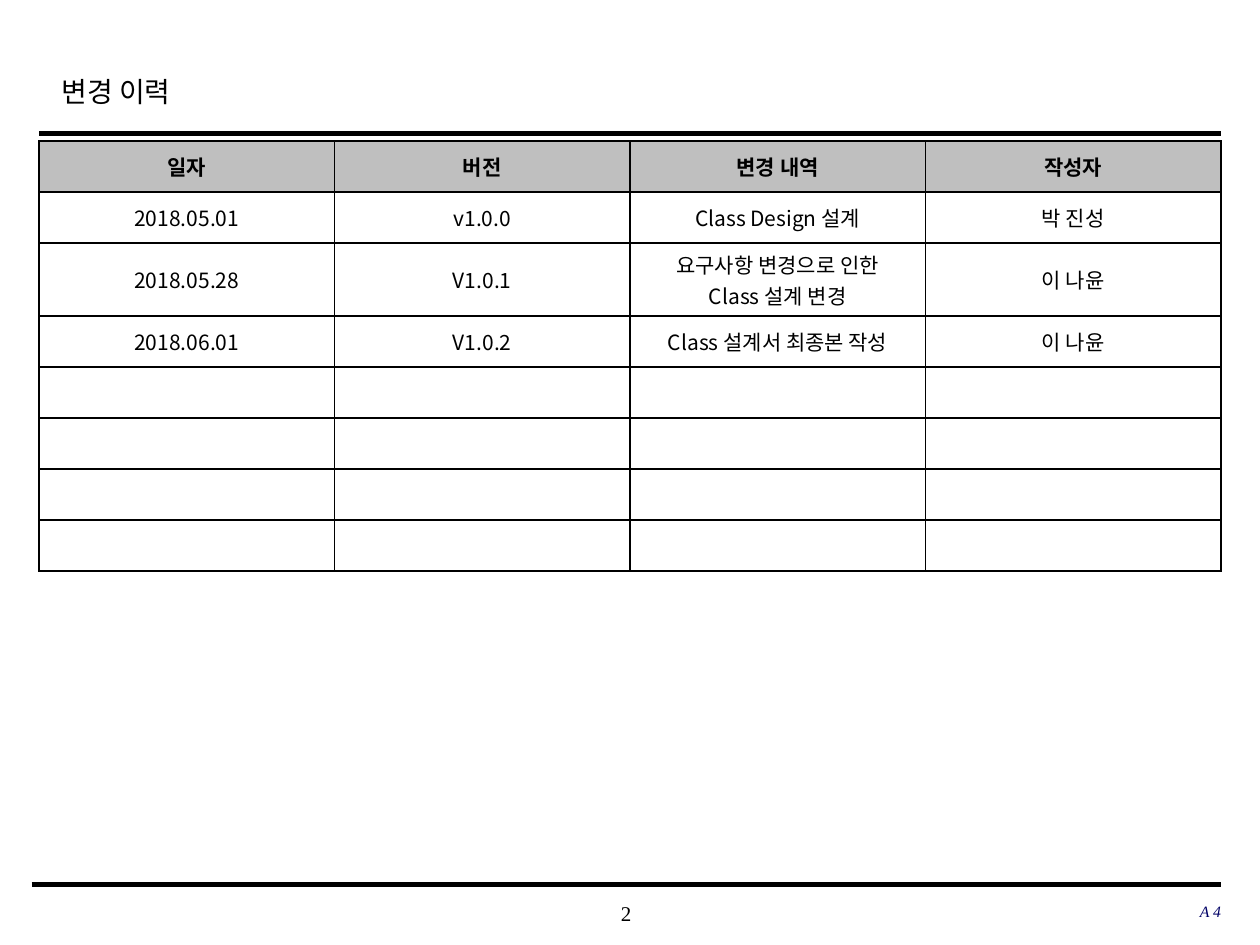
from pptx import Presentation, util as u
from pptx.dml.color import RGBColor
from pptx.enum import shapes, text
from lxml import etree

BLACK = RGBColor(0, 0, 0)
NAVY = RGBColor(0, 0, 0x66)
GREY = RGBColor(0xBF, 0xBF, 0xBF)
WHITE = RGBColor(255, 255, 255)
LATIN, KOREAN = "Times New Roman", "Noto Sans CJK KR"
A = "{http://schemas.openxmlformats.org/drawingml/2006/main}"
LEFT, RIGHT = 0.31, 9.69

prs = Presentation()
prs.slide_width, prs.slide_height = u.Inches(10), u.Inches(7.5)
s = prs.slides.add_slide(prs.slide_layouts[6])


def write(p, words, size, font, color=BLACK, bold=False, italic=False):
    p.text = words
    for r in p.runs:
        f = r.font
        f.size, f.name, f.bold, f.italic = u.Pt(size), font, bold, italic
        f.color.rgb = color
        etree.SubElement(r._r.get_or_add_rPr(), A + "ea", typeface=KOREAN)


def add_text(x, y, w, h, words, size, align, inset=True, **style):
    tf = s.shapes.add_textbox(*map(u.Inches, (x, y, w, h))).text_frame
    tf.word_wrap = True
    if not inset:
        tf.margin_left = tf.margin_right = tf.margin_top = tf.margin_bottom = 0
        tf.vertical_anchor = text.MSO_ANCHOR.MIDDLE
    p = tf.paragraphs[0]
    p.alignment = align
    write(p, words, size, LATIN, **style)
    return p


# Rules under the title and above the footer
for x, y, weight in ((LEFT, 1.06, 2.5), (0.25, 7.02, 3)):
    rule = s.shapes.add_connector(shapes.MSO_CONNECTOR.STRAIGHT,
                                  *map(u.Inches, (x, y, RIGHT, y)))
    rule.line.color.rgb, rule.line.width = BLACK, u.Pt(weight)
    etree.SubElement(rule._element.spPr, A + "effectLst")

# Title, page number and paper size
title = add_text(0.39, 0.49, 7.55, 0.5, "변경 이력", 16, text.PP_ALIGN.LEFT)
title.line_spacing = 1.2
add_text(3.93, 7.08, 2.08, 0.33, "2", 12, text.PP_ALIGN.CENTER, inset=False)
add_text(6.63, 7.07, 3.06, 0.33, "A 4", 9, text.PP_ALIGN.RIGHT, inset=False,
         color=NAVY, italic=True)

# Revision history table, with blank rows to fill in
rows = [
    ("일자", "버전", "변경 내역", "작성자"),
    ("2018.05.01", "v1.0.0", "Class Design 설계", "박 진성"),
    ("2018.05.28", "V1.0.1", "요구사항 변경으로 인한\vClass 설계 변경", "이 나윤"),
    ("2018.06.01", "V1.0.2", "Class 설계서 최종본 작성", "이 나윤"),
] + [("",) * 4] * 4
heights = [0.58 if any("\v" in t for t in row) else 0.405 for row in rows]
table = s.shapes.add_table(len(rows), 4, *map(
    u.Inches, (LEFT, 1.12, RIGHT - LEFT, sum(heights)))).table
table.horz_banding = False
for col in table.columns:
    col.width = u.Inches((RIGHT - LEFT) / 4)
for i, row in enumerate(rows):
    table.rows[i].height = u.Inches(heights[i])
    for j, words in enumerate(row):
        cell = table.cell(i, j)
        cell.vertical_anchor = text.MSO_ANCHOR.MIDDLE
        p = cell.text_frame.paragraphs[0]
        p.alignment = text.PP_ALIGN.CENTER
        if words:
            write(p, words, 12, KOREAN, bold=i == 0)
        else:
            p._p.get_or_add_endParaRPr().set("sz", "1200")
        # Borders come before the fill in the cell properties
        tcPr = cell._tc.get_or_add_tcPr()
        for side in ("lnL", "lnR", "lnT", "lnB"):
            ln = etree.SubElement(tcPr, A + side, w=str(u.Pt(1)))
            fill = etree.SubElement(ln, A + "solidFill")
            etree.SubElement(fill, A + "srgbClr", val=str(BLACK))
        cell.fill.solid()
        cell.fill.fore_color.rgb = GREY if i == 0 else WHITE

prs.save("out.pptx")
